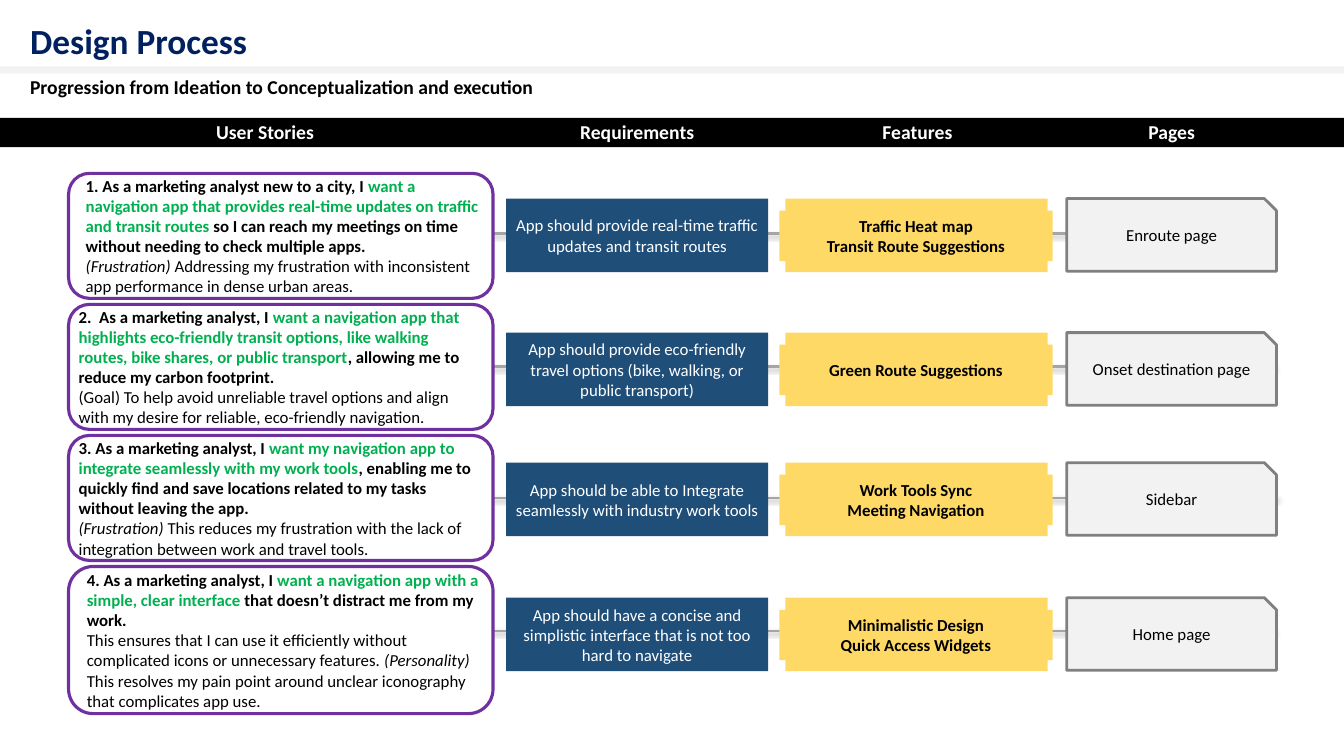
from lxml import etree
from pptx import Presentation
from pptx.dml.color import RGBColor
from pptx.enum.shapes import MSO_CONNECTOR, MSO_SHAPE
from pptx.enum.text import MSO_ANCHOR, MSO_AUTO_SIZE, PP_ALIGN
from pptx.oxml.ns import qn
from pptx.util import Inches, Pt

RECTANGLE = MSO_SHAPE.RECTANGLE
STORY_SHAPE = MSO_SHAPE.FLOWCHART_ALTERNATE_PROCESS
PAGE_SHAPE = MSO_SHAPE.SNIP_1_RECTANGLE
STRAIGHT = MSO_CONNECTOR.STRAIGHT
LEFT, CENTER = PP_ALIGN.LEFT, PP_ALIGN.CENTER
MIDDLE = MSO_ANCHOR.MIDDLE
NO_FIT = MSO_AUTO_SIZE.NONE

BLACK = RGBColor(0x00, 0x00, 0x00)
WHITE = RGBColor(0xFF, 0xFF, 0xFF)
NAVY = RGBColor(0x00, 0x20, 0x60)
PALE_GRAY = RGBColor(0xF2, 0xF2, 0xF2)
MID_GRAY = RGBColor(0xA5, 0xA5, 0xA5)
DARK_GRAY = RGBColor(0x80, 0x80, 0x80)
PURPLE = RGBColor(0x70, 0x30, 0xA0)
GREEN = RGBColor(0x00, 0xB0, 0x50)
BLUE = RGBColor(0x1F, 0x4E, 0x79)
YELLOW = RGBColor(0xFF, 0xD9, 0x66)

# Run styles: colour, bold, italic
STRONG = (BLACK, True, False)
WANT = (GREEN, True, False)
PLAIN = (BLACK, False, False)
ITALIC = (BLACK, False, True)

HEADERS = [("User Stories", 2.63), ("Requirements", 6.32),
           ("Features", 9.1), ("Pages", 11.62)]

STORIES = [
    [("1. As a marketing analyst new to a city, I ", STRONG),
     ("want a navigation app that provides real-time updates on traffic "
      "and transit routes ", WANT),
     ("so I can reach my meetings on time without needing to check "
      "multiple apps.\n", STRONG),
     ("(Frustration)", ITALIC),
     (" Addressing my frustration with inconsistent app performance in "
      "dense urban areas.", PLAIN)],
    [("2.  As a marketing analyst, I ", STRONG),
     ("want a navigation app that highlights eco-friendly transit options, "
      "like walking routes, bike shares, or public transport", WANT),
     (", allowing me to reduce my carbon footprint.\n", STRONG),
     ("(Goal) To help avoid unreliable travel options and align with my "
      "desire for reliable, eco-friendly navigation.", PLAIN)],
    [("3. As a marketing analyst, I ", STRONG),
     ("want my navigation app to integrate seamlessly with my work tools",
      WANT),
     (", enabling me to quickly find and save locations related to my tasks "
      "without leaving the app.\n", STRONG),
     ("(Frustration)", ITALIC),
     (" This reduces my frustration with the lack of integration between "
      "work and travel tools.", PLAIN)],
    [("4. As a marketing analyst, I ", STRONG),
     ("want a navigation app with a simple, clear interface ", WANT),
     ("that doesn’t distract me from my work.\n", STRONG),
     ("This ensures that I can use it efficiently without complicated icons "
      "or unnecessary features. ", PLAIN),
     ("(Personality)", ITALIC),
     (" This resolves my pain point around unclear iconography that "
      "complicates app use.", PLAIN)],
]

# Story top, height and left margin; box top; connector start and height
ROWS = [(1.72, 1.24, 0.11, 1.97, 1.15, 2.32),
        (3.02, 1.24, 0.04, 3.3, 1.43, 3.64),
        (4.32, 1.24, 0.04, 4.59, 1.46, 4.94),
        (5.62, 1.46, 0.11, 5.93, 1.43, 6.26)]
CONNECTOR_LENGTH = 11.22
BOX_WIDTH, BOX_HEIGHT = 2.6, 0.73

REQUIREMENTS = [
    "App should provide real-time traffic updates and transit routes",
    "App should provide eco-friendly travel options (bike, walking, or "
    "public transport)",
    "App should be able to Integrate seamlessly with industry work tools",
    "App should have a concise and simplistic interface that is not too "
    "hard to navigate",
]
FEATURES = [["Traffic Heat map", "Transit Route Suggestions"],
            ["Green Route Suggestions"],
            ["Work Tools Sync", "Meeting Navigation"],
            ["Minimalistic Design", "Quick Access Widgets"]]
PAGES = ["Enroute page", "Onset destination page", "Sidebar", "Home page"]


class SlideBuilder:
    font_name = "Calibri"
    text_size = 12

    def __init__(self, slide):
        self.slide = slide

    def format(self, paragraph, color, bold=False, size=text_size,
               alignment=CENTER):
        paragraph.alignment = alignment
        font = paragraph.font
        font.name, font.size, font.bold = self.font_name, Pt(size), bold
        font.color.rgb = color

    def title(self, text, left, top, width, height):
        title = self.slide.shapes.title
        title.left, title.top = Inches(left), Inches(top)
        title.width, title.height = Inches(width), Inches(height)
        frame = title.text_frame
        frame.text = text
        frame.auto_size, frame.vertical_anchor = NO_FIT, MIDDLE
        paragraph = frame.paragraphs[0]
        paragraph.line_spacing = 0.9
        self.format(paragraph, NAVY, True, 25.2, LEFT)

    def label(self, text, left, top, width, color, alignment):
        box = self.slide.shapes.add_textbox(
            Inches(left), Inches(top), Inches(width), Inches(0.34))
        box.text_frame.text = text
        self.format(box.text_frame.paragraphs[0], color, True, 14, alignment)

    def shape(self, kind, left, top, width, height, fill, line=None,
              line_width=2):
        shape = self.slide.shapes.add_shape(
            kind, Inches(left), Inches(top), Inches(width), Inches(height))
        shape.shadow.inherit = False
        shape.fill.solid()
        shape.fill.fore_color.rgb = fill
        if line is None:
            shape.line.fill.background()
        else:
            shape.line.color.rgb = line
            shape.line.width = Pt(line_width)
        return shape

    def text_frame(self, shape, left=0.05, top=0, right=0.05, bottom=0):
        """Return the wrapped, middle-anchored text frame with its margins set."""
        frame = shape.text_frame
        frame.word_wrap, frame.vertical_anchor = True, MIDDLE
        frame.margin_left, frame.margin_right = Inches(left), Inches(right)
        frame.margin_top, frame.margin_bottom = Inches(top), Inches(bottom)
        return frame

    def story(self, runs, top, height, margin):
        shape = self.shape(STORY_SHAPE, 0.68, top, 4.21, height, WHITE,
                           PURPLE, 2.25)
        frame = self.text_frame(shape, left=margin, right=0.05)
        paragraph = frame.paragraphs[0]
        self.format(paragraph, BLACK, alignment=LEFT)
        for text, (color, bold, italic) in runs:
            run = paragraph.add_run()
            run.text = text.rstrip("\n")
            run.font.color.rgb = color
            run.font.bold, run.font.italic = bold, italic
            if text.endswith("\n"):
                paragraph.add_line_break()

    def requirement(self, text, top):
        shape = self.shape(RECTANGLE, 5.02, top, BOX_WIDTH, BOX_HEIGHT, BLUE)
        frame = self.text_frame(shape)
        frame.text = text
        self.format(frame.paragraphs[0], WHITE)

    def feature(self, lines, top):
        self.shape(RECTANGLE, 7.79, top, BOX_WIDTH, BOX_HEIGHT, YELLOW)
        band = self.shape(RECTANGLE, 7.73, top + 0.12, 2.71, 0.5, YELLOW)
        frame = self.text_frame(band)
        frame.text = "\n".join(lines)
        for paragraph in frame.paragraphs:
            self.format(paragraph, BLACK, True)

    def page(self, text, top):
        shape = self.shape(PAGE_SHAPE, 10.58, top, 2.08, 0.72, PALE_GRAY,
                           DARK_GRAY)
        # The snipped corner narrows the text area at the top and right.
        frame = self.text_frame(shape, left=0.06, right=0, bottom=0.06)
        frame.text = text
        self.format(frame.paragraphs[0], BLACK)

    def connector(self, left, y):
        line = self.slide.shapes.add_connector(
            STRAIGHT, Inches(left), Inches(y),
            Inches(left + CONNECTOR_LENGTH), Inches(y))
        line.line.color.rgb = MID_GRAY
        line.line.width = Pt(2)
        effects = etree.SubElement(line._element.spPr, qn("a:effectLst"))
        shadow = etree.SubElement(
            effects, qn("a:outerShdw"), blurRad=str(Pt(3.1)),
            dist=str(Pt(1.6)), dir="5400000", rotWithShape="0")
        color = etree.SubElement(shadow, qn("a:srgbClr"), val=str(BLACK))
        etree.SubElement(color, qn("a:alpha"), val="38000")


def main():
    presentation = Presentation()
    presentation.slide_width = Inches(13.33)
    presentation.slide_height = Inches(7.5)
    builder = SlideBuilder(
        presentation.slides.add_slide(presentation.slide_layouts[5]))

    builder.title("Design Process", 0.2, 0.2, 11.5, 0.46)
    builder.shape(RECTANGLE, 0, 0.66, 13.33, 0.07, PALE_GRAY)
    builder.label("Progression from Ideation to Conceptualization and execution",
                  0.2, 0.69, 5.3, BLACK, LEFT)
    builder.shape(RECTANGLE, 0, 1.17, 13.33, 0.29, BLACK)
    for text, center in HEADERS:
        builder.label(text, center - 0.7, 1.14, 1.4, WHITE, CENTER)

    for row, story, requirement, feature, page in zip(
            ROWS, STORIES, REQUIREMENTS, FEATURES, PAGES):
        story_top, story_height, margin, box_top, line_left, line_y = row
        builder.connector(line_left, line_y)
        builder.story(story, story_top, story_height, margin)
        builder.requirement(requirement, box_top)
        builder.feature(feature, box_top)
        builder.page(page, box_top)

    presentation.save("out.pptx")


if __name__ == "__main__":
    main()
